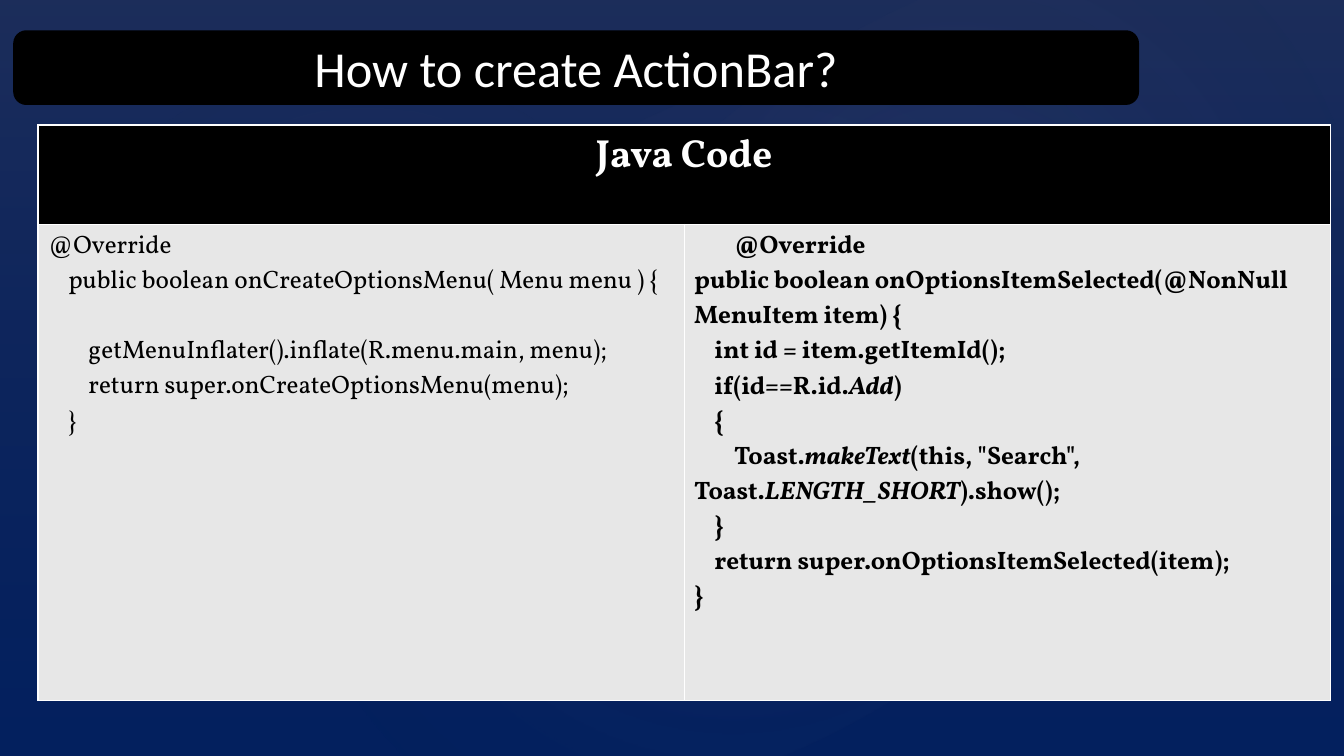
"""Build the ActionBar slide with its table of Java code."""
from lxml import etree
from pptx import Presentation, util as u
from pptx.dml.color import RGBColor
from pptx.enum import shapes, text
from pptx.oxml import parse_xml
from pptx.oxml.ns import nsdecls

NAVY = RGBColor(0x00, 0x20, 0x60)
BLACK = RGBColor(0x00, 0x00, 0x00)
WHITE = RGBColor(0xFF, 0xFF, 0xFF)
GREY = RGBColor(0xE7, 0xE7, 0xE7)
MAUVE = RGBColor(0x50, 0x46, 0x52)
LILAC = RGBColor(0xC4, 0xBC, 0xC6)
DUSK = RGBColor(0x24, 0x28, 0x52)

LINEAR = '<a:lin ang="5400000" scaled="0"/>'
RADIAL = '<a:path path="circle"><a:fillToRect l="50000" t="50000" r="50000" b="50000"/></a:path>'


def add_glow(kind, box, rotation, stops, direction):
    sp = s.shapes.add_shape(kind, *[u.Cm(v) for v in box])
    sp.rotation = rotation
    sp.shadow.inherit = False
    sp.line.fill.background()
    sp.fill.background()
    gs = "".join(
        f'<a:gs pos="{pos * 1000}"><a:srgbClr val="{color}">'
        f'<a:alpha val="{alpha * 1000}"/></a:srgbClr></a:gs>'
        for pos, color, alpha in stops)
    grad = parse_xml(f'<a:gradFill {nsdecls("a")} rotWithShape="1">'
                     f'<a:gsLst>{gs}</a:gsLst>{direction}</a:gradFill>')
    sp_pr = sp._element.spPr
    sp_pr.replace(sp_pr.find("{*}noFill"), grad)


def add_run(p, words, font, size, color, bold=False, italic=False):
    r = p.add_run()
    r.text = words
    r.font.name = font
    r.font.size = u.Pt(size)
    r.font.bold = bold
    r.font.italic = italic
    r.font.color.rgb = color


prs = Presentation()
prs.slide_width, prs.slide_height = u.Cm(33.87), u.Cm(19.05)
s = prs.slides.add_slide(prs.slide_layouts[6])
s.background.fill.solid()
s.background.fill.fore_color.rgb = NAVY

add_glow(shapes.MSO_SHAPE.RECTANGLE, (0, 0, 33.87, 19.05), 0,
         [(0, MAUVE, 36), (100, DUSK, 10)], LINEAR)
for box, rotation, alpha in [
    ((5.08, 2.9, 26.82, 15.85), 328.7, 7),
    ((1.55, 1.17, 15.39, 16.59), 294.3, 8),
    ((12.14, 0.33, 24, 13.21), 328.7, 8),
]:
    add_glow(shapes.MSO_SHAPE.OVAL, box, rotation,
             [(0, LILAC, alpha), (58, DUSK, 0), (100, DUSK, 0)], RADIAL)

title = s.shapes.add_shape(shapes.MSO_SHAPE.ROUNDED_RECTANGLE,
                           u.Cm(0.36), u.Cm(0.79), u.Cm(28.32), u.Cm(1.83))
title.shadow.inherit = False
title.fill.solid()
title.fill.fore_color.rgb = BLACK
title.line.color.rgb = BLACK
title.line.width = u.Pt(1.5)
tf = title.text_frame
tf.word_wrap = True
tf.vertical_anchor = text.MSO_ANCHOR.MIDDLE
p = tf.paragraphs[0]
p.alignment = text.PP_ALIGN.CENTER
add_run(p, "How to create ActionBar?", "Calibri", 36, WHITE)

table = s.shapes.add_table(2, 2, u.Cm(0.96), u.Cm(3.15), u.Cm(32.56), u.Cm(14.5)).table
for col in table.columns:
    col.width = u.Cm(16.28)
for row, height in zip(table.rows, (2.51, 11.99)):
    row.height = u.Cm(height)
table.cell(0, 0).merge(table.cell(0, 1))

for i, fill in enumerate((BLACK, GREY)):
    for cell in table.rows[i].cells:
        cell.fill.solid()
        cell.fill.fore_color.rgb = fill
        tc_pr = cell._tc.get_or_add_tcPr()
        for k, side in enumerate(("lnL", "lnR", "lnT", "lnB")):
            tc_pr.insert(k, parse_xml(
                f'<a:{side} {nsdecls("a")} w="12700"><a:solidFill>'
                f'<a:srgbClr val="{WHITE}"/></a:solidFill></a:{side}>'))

p = table.cell(0, 0).text_frame.paragraphs[0]
p.alignment = text.PP_ALIGN.CENTER
add_run(p, "Java Code", "Vollkorn", 28, WHITE, bold=True)

create_menu = [
    ("@Override", 0),
    ("    public boolean onCreateOptionsMenu( Menu menu ) {", 0),
    ("        getMenuInflater().inflate(R.menu.main, menu);", 25),
    ("        return super.onCreateOptionsMenu(menu);", 0),
    ("    }", 0),
]
tf = table.cell(1, 0).text_frame
for i, (line, gap) in enumerate(create_menu):
    p = tf.add_paragraph() if i else tf.paragraphs[0]
    if gap:
        p.space_before = u.Pt(gap)
    add_run(p, line, "Vollkorn", 18, BLACK)

item_selected = [
    ["        @Override"],
    ["public boolean onOptionsItemSelected(@NonNull MenuItem item) {"],
    ["    int id = item.getItemId();"],
    ["    if(id==R.id.", "Add", ")"],
    ["    {"],
    ["        Toast.", "makeText", '(this, "Search", Toast.', "LENGTH_SHORT", ").show();"],
    ["    }"],
    ["    return super.onOptionsItemSelected(item);"],
    ["}"],
]
p = table.cell(1, 1).text_frame.paragraphs[0]
for i, line in enumerate(item_selected):
    if i:
        p.add_line_break()
    for k, words in enumerate(line):
        add_run(p, words, "Vollkorn", 18, BLACK, bold=True, italic=k % 2 == 1)

prs.save("out.pptx")
